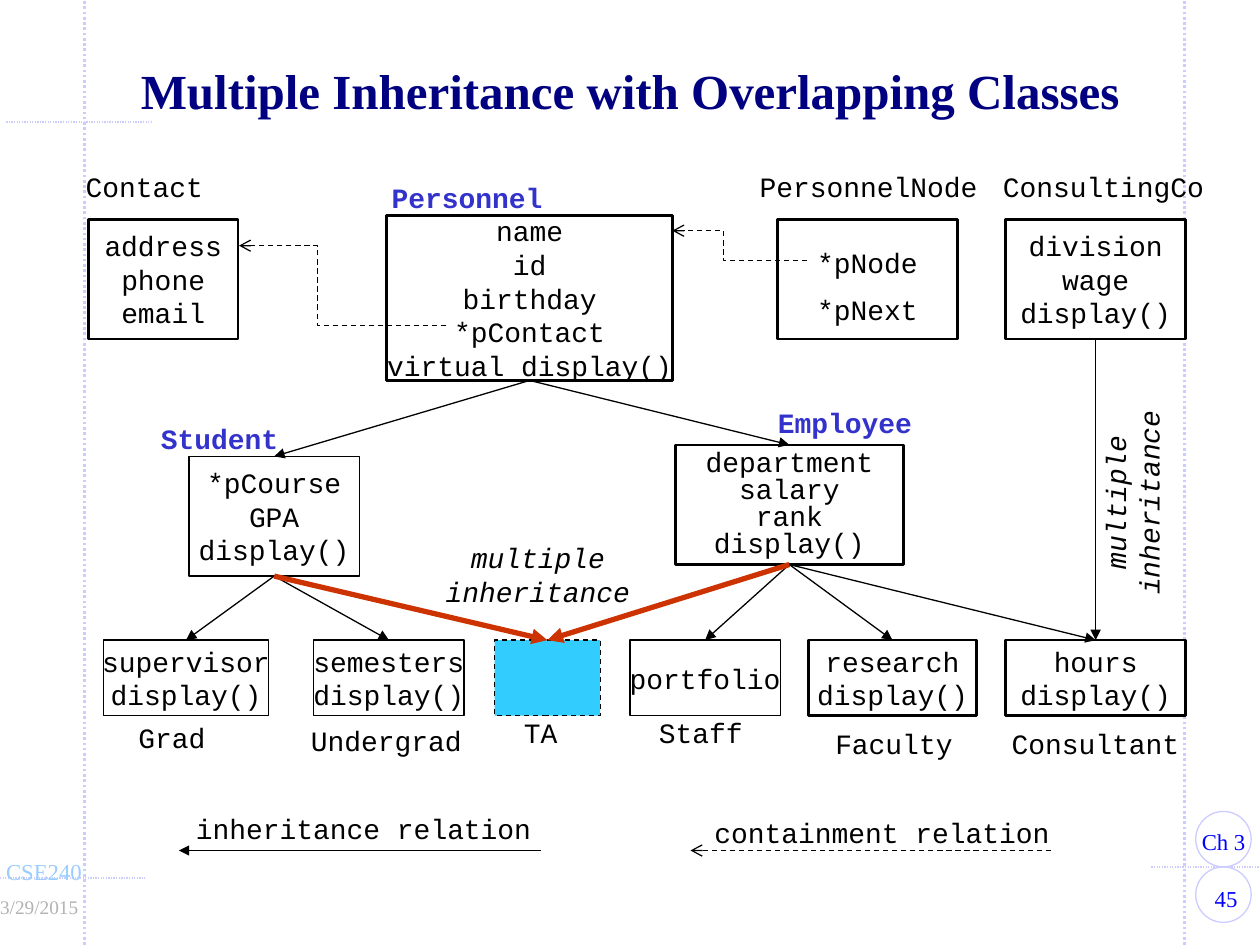
from lxml import etree
from pptx import Presentation
from pptx.dml.color import RGBColor
from pptx.enum import dml, shapes, text
from pptx.oxml.ns import qn
from pptx.util import Pt

COLORS = {"ink": "000000", "paper": "FFFFFF", "title": "000080", "heading": "3333CC",
          "shared": "33CCFF", "multiple": "CC3300", "rule": "CCCCFF", "badge": "0000FF",
          "course": "99CCFF", "date": "B2B2B2"}
TOP, LEFT, BOTTOM = 0, 1, 2
CENTER = text.PP_ALIGN.CENTER
DASH = dml.MSO_LINE.DASH
DOT = dml.MSO_LINE.ROUND_DOT


def color(name):
    return RGBColor.from_string(COLORS[name])


def write(frame, content, size=16, font="Courier New", ink="ink", bold=False, italic=False,
          align=None, spacing=None, wrap=False, anchor=text.MSO_ANCHOR.TOP):
    """Fill a text frame, one paragraph per line of content."""
    frame.word_wrap = wrap
    frame.vertical_anchor = anchor
    for number, line in enumerate(content.split("\n")):
        paragraph = frame.add_paragraph() if number else frame.paragraphs[0]
        paragraph.alignment = align
        paragraph.line_spacing = spacing
        paragraph.space_before = Pt(0)
        run = paragraph.add_run()
        run.text = line
        run.font.name, run.font.size = font, Pt(size)
        run.font.bold, run.font.italic = bold, italic
        run.font.color.rgb = color(ink)


class ClassDiagram:
    def __init__(self, slide):
        self.slide = slide
        self.shapes = slide.shapes

    def title(self, content, left, top, width, height):
        heading = self.shapes.title
        heading.left, heading.top, heading.width, heading.height = map(
            Pt, (left, top, width, height))
        write(heading.text_frame, content, size=28, font="Times New Roman", ink="title",
              bold=True, align=CENTER, spacing=0.85, wrap=True, anchor=text.MSO_ANCHOR.MIDDLE)

    def label(self, content, left, top, width, height=26.4, rotation=0, **style):
        label = self.shapes.add_textbox(Pt(left), Pt(top), Pt(width), Pt(height))
        label.rotation = rotation
        write(label.text_frame, content, **style)

    def stroke(self, item, ink, weight, dash=None, arrow=None):
        item.line.color.rgb = color(ink)
        item.line.width = Pt(weight)
        if dash:
            item.line.dash_style = dash
        if arrow:
            ln = item.element.spPr.find(qn("a:ln"))
            etree.SubElement(ln, qn("a:tailEnd"), type=arrow)

    def outline(self, kind, left, top, width, height, fill=None, ink="ink", weight=0.75,
                dash=None):
        shape = self.shapes.add_shape(kind, Pt(left), Pt(top), Pt(width), Pt(height))
        shape.shadow.inherit = False
        if fill:
            shape.fill.solid()
            shape.fill.fore_color.rgb = color(fill)
        else:
            shape.fill.background()
        self.stroke(shape, ink, weight, dash)
        return shape

    def class_box(self, members, left, top, width, height, weight=0.75, spacing=None,
                  fill="paper", dash=None):
        box = self.outline(shapes.MSO_SHAPE.RECTANGLE, left, top, width, height, fill,
                           weight=weight, dash=dash)
        if members:
            write(box.text_frame, members, align=CENTER, spacing=spacing,
                  anchor=text.MSO_ANCHOR.MIDDLE)
        return box

    def line(self, x1, y1, x2, y2, ink="ink", weight=0.75, dash=None, arrow=None):
        line = self.shapes.add_connector(shapes.MSO_CONNECTOR.STRAIGHT,
                                         Pt(x1), Pt(y1), Pt(x2), Pt(y2))
        self.stroke(line, ink, weight, dash, arrow)
        etree.SubElement(line.element.spPr, qn("a:effectLst"))
        return line

    def inherit(self, base, derived, **style):
        arrow = self.line(0, 0, 0, 0, arrow="triangle", **style)
        arrow.begin_connect(base, BOTTOM)
        arrow.end_connect(derived, TOP)

    def contain(self, *points):
        """Draw a dashed, bent arrow from a pointer member to the class it points at."""
        corners = [(Pt(x), Pt(y)) for x, y in points]
        builder = self.shapes.build_freeform(*corners[0])
        builder.add_line_segments(corners[1:], close=False)
        bend = builder.convert_to_shape()
        bend.shadow.inherit = False
        bend.fill.background()
        self.stroke(bend, "ink", 0.75, DASH, "arrow")


def draw_frame(diagram):
    for x in (48.2, 676.8):
        diagram.line(x, 540, x, 0, ink="rule", weight=1.5, dash=DOT)
    for x1, x2, y in ((0, 82.8, 501.8), (658, 723.6, 495.4), (3.6, 86.4, 69.8)):
        diagram.line(x1, y, x2, y, ink="rule", dash=DOT)
    for y in (495.4, 463.7):
        diagram.outline(shapes.MSO_SHAPE.OVAL, 683.3, y, 31.7, 31.7, ink="rule")
    serif = {"font": "Times New Roman", "size": 13}
    diagram.label("45", 679.7, 501.8, 41.8, 23, ink="badge", align=CENTER, wrap=True, **serif)
    diagram.label("Ch 3", 679.7, 469.4, 40.3, 23, ink="badge", **serif)
    diagram.label("CSE240", -3.6, 486.7, 58.3, 23, ink="course", **serif)
    diagram.label("3/29/2015", -7.9, 508.3, 59.8, 21, font="Times New Roman", size=11,
                  ink="date", align=text.PP_ALIGN.RIGHT, wrap=True)


def draw_classes(diagram):
    box = diagram.class_box
    upper = {"top": 125.3, "height": 68.4, "weight": 1.5}
    leaf = {"top": 365.8, "height": 43.2}

    personnel = box("name\nid\nbirthday\n*pContact\nvirtual display()",
                    221, 123.1, 163.4, 94.3, weight=1.5)
    employee = box("department\nsalary\nrank\ndisplay()", 385.9, 254.2, 130.3, 68.4,
                   weight=1.5, spacing=0.8)
    student = box("*pCourse\nGPA\ndisplay()", 108, 260.8, 97.4, 68.4)
    box("address\nphone\nemail", left=50.4, width=85.7, **upper)
    box("*pNode\n*pNext", left=444.2, width=103, spacing=1.4, **upper)
    consulting = box("division\nwage\ndisplay()", left=574.6, width=103, **upper)

    grad = box("supervisor\ndisplay()", left=59, width=94.6, **leaf)
    undergrad = box("semesters\ndisplay()", left=179.3, width=85.9, **leaf)
    assistant = box("", left=282.6, width=60.4, fill="shared", dash=DASH, **leaf)
    staff = box("portfolio", left=360, width=85.9, **leaf)
    faculty = box("research\ndisplay()", left=462, width=96, weight=1.5, **leaf)
    consultant = box("hours\ndisplay()", left=574.6, width=103, weight=1.5, **leaf)

    for base, derived in ((personnel, (student, employee)), (student, (grad, undergrad)),
                          (employee, (staff, faculty, consultant)),
                          (consulting, (consultant,))):
        for target in derived:
            diagram.inherit(base, target)
    for base in (student, employee):
        diagram.inherit(base, assistant, ink="multiple", weight=3)

    diagram.contain((255, 186.1), (181.6, 186.1), (181.6, 140.4), (136.6, 140.4))
    diagram.contain((461.3, 149), (413.3, 149), (413.3, 131.8), (384.2, 131.8))


def draw_labels(diagram):
    for name, left, top, width in (("Personnel", 216.7, 99.4, 100.8),
                                   ("Employee", 437.4, 228.2, 91.4),
                                   ("Student", 84.8, 237.6, 82)):
        diagram.label(name, left, top, width, ink="heading", bold=True)
    for name, left, top, width in (("Contact", 41.8, 93.6, 82),
                                   ("PersonnelNode", 427, 93.6, 139.7),
                                   ("ConsultingCo", 566, 93.6, 130.3),
                                   ("Grad", 72, 408.2, 53.3),
                                   ("Undergrad", 170.6, 409.7, 101.5),
                                   ("TA", 292.3, 405.4, 33.8),
                                   ("Staff", 369.4, 405.4, 62.6),
                                   ("Faculty", 470.2, 411.8, 82),
                                   ("Consultant", 571, 411.8, 110.9)):
        diagram.label(name, left, top, width)
    for left, top, width, rotation in ((584.6, 264.2, 124.6, 270), (242.6, 305.3, 129.6, 0)):
        diagram.label("multiple\ninheritance", left, top, width, 46, rotation=rotation,
                      italic=True, align=CENTER, wrap=True)


def draw_legend(diagram):
    diagram.line(308.9, 486, 102.2, 486, arrow="triangle")
    diagram.line(600.5, 486, 394.6, 486, dash=DASH, arrow="arrow")
    diagram.label("inheritance relation", 95.8, 460.1, 223.9, align=CENTER, wrap=True)
    diagram.label("containment relation", 400.3, 462.2, 207.4, align=CENTER)


def main():
    deck = Presentation()
    deck.slide_width, deck.slide_height = Pt(720), Pt(540)
    diagram = ClassDiagram(deck.slides.add_slide(deck.slide_layouts[5]))
    draw_frame(diagram)
    diagram.title("Multiple Inheritance with Overlapping Classes", 52.6, 31.7, 614.9, 44.6)
    draw_classes(diagram)
    draw_labels(diagram)
    draw_legend(diagram)
    deck.save("out.pptx")


if __name__ == "__main__":
    main()
